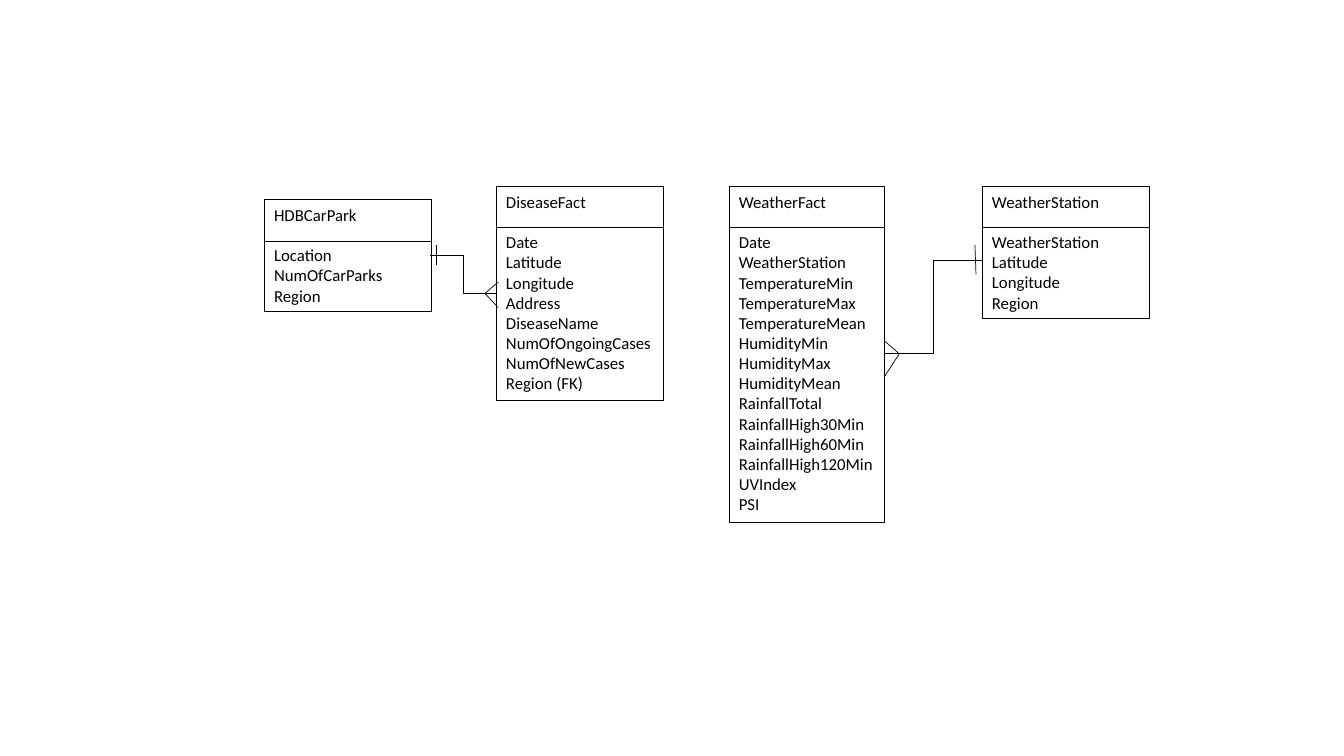
import pptx
import pptx.dml.color
import pptx.enum.shapes
import pptx.enum.text
import pptx.oxml.ns
import pptx.util
from lxml import etree

Inches = pptx.util.Inches
Pt = pptx.util.Pt
BLACK = pptx.dml.color.RGBColor(0, 0, 0)
CONNECTOR = pptx.enum.shapes.MSO_CONNECTOR

ROW_HEIGHT = 0.202
DIVIDER_DROP = 0.41


def write_paragraph(paragraph, text, *, font="Calibri", size=12, color=BLACK, space_after=0):
    paragraph.alignment = pptx.enum.text.PP_ALIGN.LEFT
    paragraph.space_after = Pt(space_after)
    run = paragraph.add_run()
    run.text = text
    run.font.name = font
    run.font.size = Pt(size)
    run.font.color.rgb = color


class Diagram:
    def __init__(self, slide, color=BLACK, weight=0.5):
        self.slide = slide
        self.color = color
        self.weight = Pt(weight)

    def outline(self, element):
        element.line.color.rgb = self.color
        element.line.width = self.weight

    def line(self, start, end, kind=CONNECTOR.STRAIGHT):
        connector = self.slide.shapes.add_connector(
            kind, *(Inches(value) for value in (*start, *end)))
        self.outline(connector)
        etree.SubElement(connector._element.spPr, pptx.oxml.ns.qn("a:effectLst"))

    def entity(self, left, top, width, name, fields):
        # The name takes two rows, the second one left empty by spacing
        height = 0.1 + ROW_HEIGHT * (len(fields) + 2)
        box = self.slide.shapes.add_shape(
            pptx.enum.shapes.MSO_SHAPE.RECTANGLE,
            Inches(left), Inches(top), Inches(width), Inches(height))
        box.shadow.inherit = False
        box.fill.background()
        self.outline(box)

        frame = box.text_frame
        frame.word_wrap = True
        frame.vertical_anchor = pptx.enum.text.MSO_ANCHOR.TOP
        frame.margin_right = 0
        write_paragraph(frame.paragraphs[0], name, space_after=14.5)
        for field in fields:
            write_paragraph(frame.add_paragraph(), field)

        divider = top + DIVIDER_DROP
        self.line((left + width, divider), (left, divider))

    def relation(self, start, end):
        self.line(start, end, CONNECTOR.ELBOW)

    def crow_foot(self, tip, *toes):
        for toe in toes:
            self.line(tip, toe)


deck = pptx.Presentation()
deck.slide_width = Inches(13.33)
deck.slide_height = Inches(7.5)
diagram = Diagram(deck.slides.add_slide(deck.slide_layouts[6]))

# Entities: left, top, width, name, fields
weather_measures = [f"{measure}{statistic}" for measure in ("Temperature", "Humidity")
                    for statistic in ("Min", "Max", "Mean")]
rainfall_peaks = [f"RainfallHigh{minutes}Min" for minutes in (30, 60, 120)]
entities = [
    (4.92, 1.85, 1.66, "DiseaseFact",
     ["Date", "Latitude", "Longitude", "Address", "DiseaseName",
      "NumOfOngoingCases", "NumOfNewCases", "Region (FK)"]),
    (7.23, 1.85, 1.54, "WeatherFact",
     ["Date", "WeatherStation", *weather_measures, "RainfallTotal",
      *rainfall_peaks, "UVIndex", "PSI"]),
    (2.62, 1.98, 1.66, "HDBCarPark", ["Location", "NumOfCarParks", "Region"]),
    (9.74, 1.85, 1.66, "WeatherStation",
     ["WeatherStation", "Latitude", "Longitude", "Region"]),
]
for entity in entities:
    diagram.entity(*entity)

# Weather facts to one weather station
diagram.crow_foot((8.92, 3.51), (8.77, 3.38), (8.77, 3.74))
diagram.line((9.68, 2.72), (9.67, 2.43))
diagram.relation((8.77, 3.51), (9.74, 2.58))

# Disease facts to one car park
diagram.crow_foot((4.81, 2.91), (4.94, 2.8), (4.94, 3.05))
diagram.line((4.33, 2.43), (4.33, 2.63))
diagram.relation((4.92, 2.91), (4.27, 2.53))

deck.save("out.pptx")
